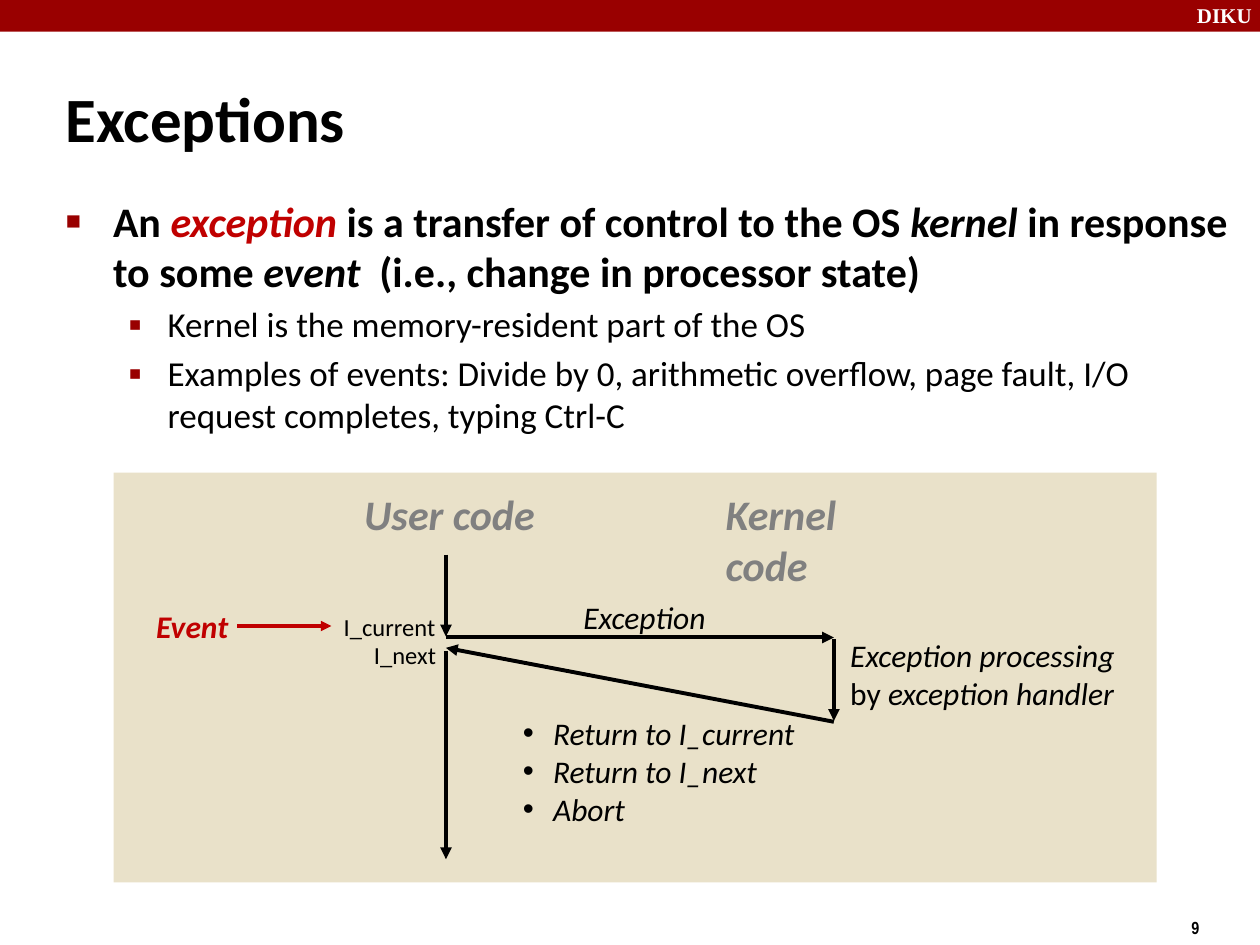
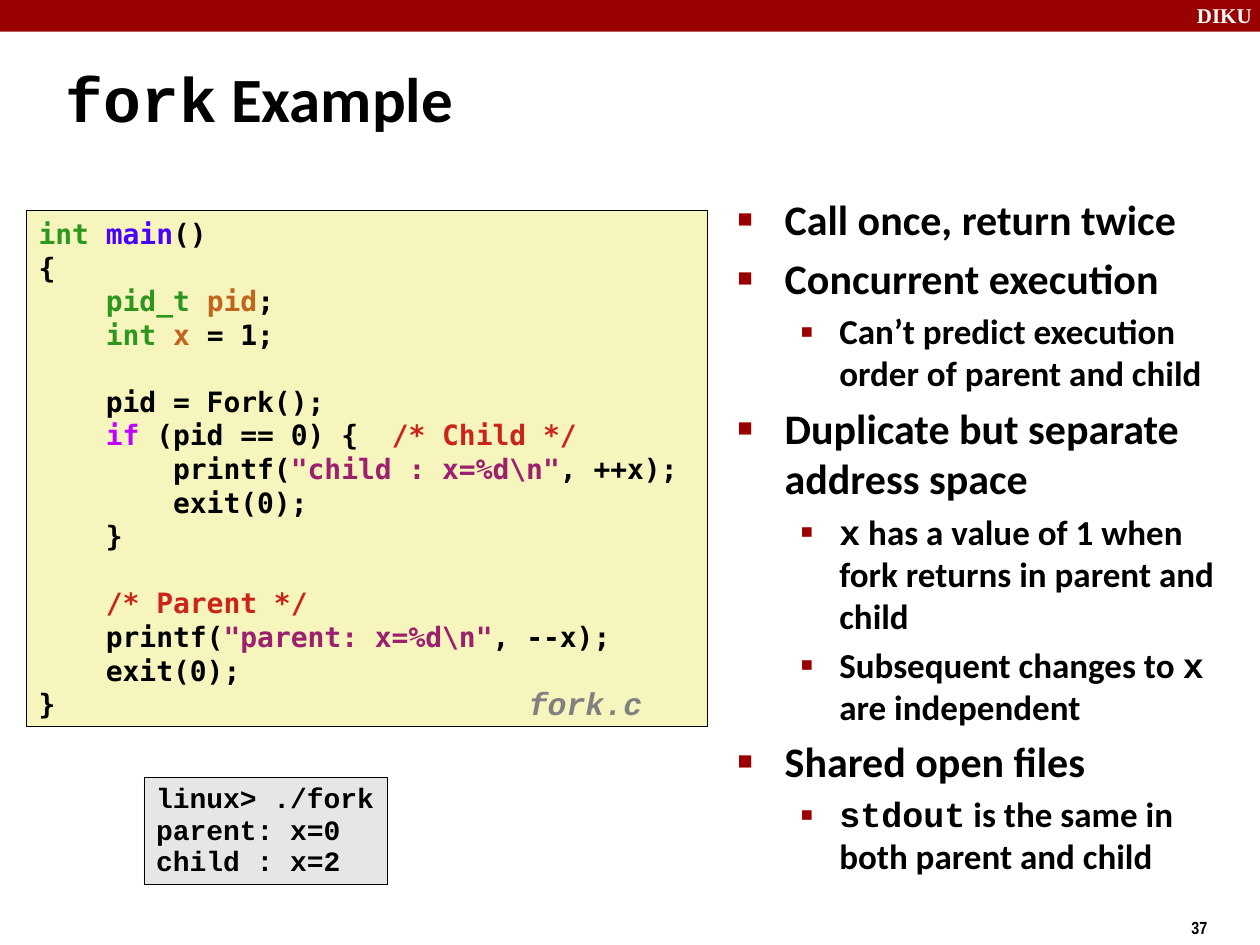
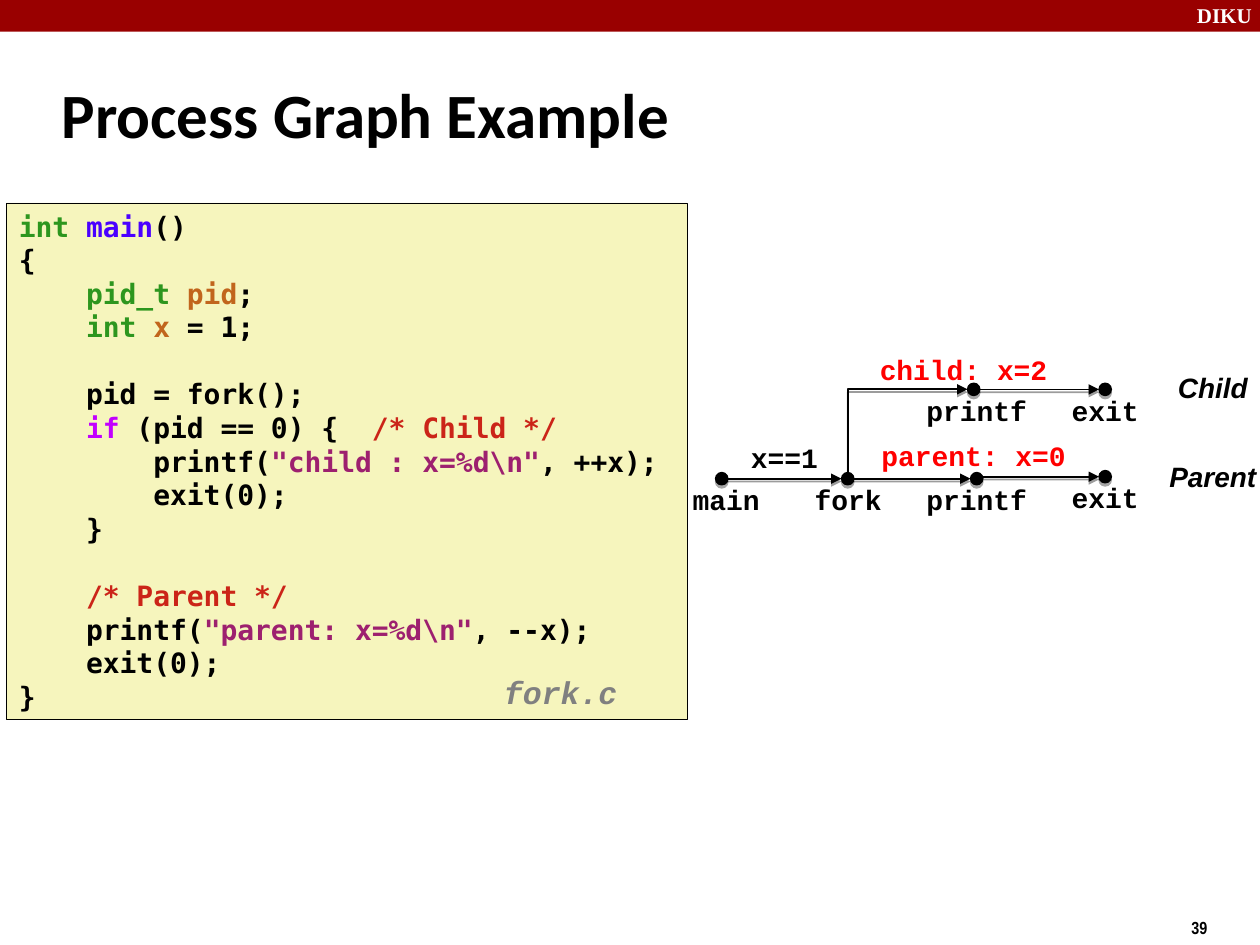
from dataclasses import dataclass, replace
from typing import NamedTuple, Optional

from lxml.etree import SubElement
from pptx import Presentation
from pptx.dml.color import RGBColor
from pptx.enum.shapes import MSO_CONNECTOR as Link, MSO_SHAPE as Preset
from pptx.enum.text import MSO_ANCHOR as Anchor, MSO_AUTO_SIZE as AutoSize, PP_ALIGN as Align
from pptx.oxml.ns import qn
from pptx.util import Cm, Pt

COLORS = {
    "black": "000000", "white": "FFFFFF", "gray": "808080",
    "band": "990000", "accent": "C00000", "output": "FF0000",
    "panel": "E9E1C9", "code": "F6F5BD", "terminal": "E6E6E6",
    "type": "2D961E", "function": "4A00FF", "variable": "C1651C",
    "keyword": "C200FF", "comment": "CB2418", "string": "9D206F",
}
SLIDE_WIDTH, SLIDE_HEIGHT = 25.4, 19.05
TITLE_ONLY = 5
NODE_SIZE = 0.25
CODE_LINE = 19.2


class Box(NamedTuple):
    left: float
    top: float
    width: float
    height: float


class Point(NamedTuple):
    x: float
    y: float


@dataclass(frozen=True)
class Style:
    size: float
    font: str = "Calibri"
    color: str = "black"
    bold: bool = False
    italic: bool = False


class Run(NamedTuple):
    text: str
    style: Style


@dataclass(frozen=True)
class Bullet:
    char: str
    color: str
    percent: int
    left: float
    hang: float


@dataclass(frozen=True)
class Para:
    runs: list[Run]
    bullet: Optional[Bullet] = None
    align: Align = Align.LEFT
    before: float = 0
    spacing: Optional[float] = None


@dataclass(frozen=True)
class Label:
    box: Box
    paras: list[Para]
    wrap: bool = False


@dataclass(frozen=True)
class Arrow:
    start: Point
    end: Point
    color: str = "black"
    width: float = 2.25


@dataclass(frozen=True)
class Node:
    text: str
    at: Point
    label_center: float


TITLE = Style(36, bold=True)
TITLE_CODE = replace(TITLE, font="Courier New")
MAIN = Style(24, bold=True)
SUB = Style(20)
SUB_BOLD = replace(SUB, bold=True)
SUB_CODE = replace(SUB_BOLD, font="Courier New")
HEADING = Style(24, color="gray", bold=True, italic=True)
NOTE = Style(18, italic=True)
INSTRUCTION = Style(14)
CODE = Style(16, "DejaVu Sans Mono", bold=True)
MONO = Style(16, "Courier New", bold=True)
FILE_NAME = Style(18, "Courier New", "gray", True, True)
PROCESS = Style(16, "Arial", bold=True, italic=True)

SQUARE = Bullet("■", "band", 60, 0.96, 0.95)
SMALL_SQUARE = Bullet("▪", "band", 110, 2.06, 0.79)
DOT = Bullet("•", "black", 100, 0.61, 0.61)


def color(name: str) -> RGBColor:
    return RGBColor.from_string(COLORS[name])


def lengths(box: Box) -> list[Cm]:
    return [Cm(value) for value in box]


def plain(text: str, style: Style, **options) -> Para:
    return Para([Run(text, style)], **options)


def main_point(*runs: Run) -> Para:
    return Para(list(runs), SQUARE, before=4.8)


def sub_point(*runs: Run) -> Para:
    return Para(list(runs), SMALL_SQUARE, before=4)


def add_bullet(paragraph, bullet: Bullet) -> None:
    props = paragraph._p.get_or_add_pPr()
    props.set("marL", str(Cm(bullet.left)))
    props.set("indent", str(-Cm(bullet.hang)))
    SubElement(SubElement(props, qn("a:buClr")), qn("a:srgbClr")).set("val", COLORS[bullet.color])
    SubElement(props, qn("a:buSzPct")).set("val", str(bullet.percent * 1000))
    SubElement(props, qn("a:buFont")).set("typeface", "Arial")
    SubElement(props, qn("a:buChar")).set("char", bullet.char)


def write(shape, paras: list[Para], wrap: bool = True, anchor: Anchor = Anchor.TOP) -> None:
    frame = shape.text_frame
    frame.word_wrap = wrap
    frame.auto_size = AutoSize.NONE
    frame.vertical_anchor = anchor
    for index, para in enumerate(paras):
        paragraph = frame.add_paragraph() if index else frame.paragraphs[0]
        if para.bullet:
            add_bullet(paragraph, para.bullet)
        paragraph.alignment = para.align
        if index and para.before:
            paragraph.space_before = Pt(para.before)
        if para.spacing:
            paragraph.line_spacing = para.spacing
        for text, style in para.runs:
            run = paragraph.add_run()
            run.text = text
            font = run.font
            font.size, font.name = Pt(style.size), style.font
            font.bold, font.italic = style.bold, style.italic
            font.color.rgb = color(style.color)


def add_label(slide, label: Label) -> None:
    write(slide.shapes.add_textbox(*lengths(label.box)), label.paras, label.wrap)


def add_block(slide, box: Box, fill: str, outline: float = 0, preset: Preset = Preset.RECTANGLE):
    block = slide.shapes.add_shape(preset, *lengths(box))
    block.fill.solid()
    block.fill.fore_color.rgb = color(fill)
    if outline:
        block.line.color.rgb = color("black")
        block.line.width = Pt(outline)
    else:
        block.line.fill.background()
    block.shadow.inherit = False
    return block


def drop_shadow(shape, distance: float, opacity: int) -> None:
    """Put a hard shadow straight below a shape whose effect list is empty."""
    effects = shape.element.spPr.find(qn("a:effectLst"))
    shadow = SubElement(effects, qn("a:outerShdw"), blurRad="0", dist=str(Pt(distance)),
                        dir="5400000", rotWithShape="0")
    tint = SubElement(shadow, qn("a:srgbClr"), val=COLORS["black"])
    SubElement(tint, qn("a:alpha"), val=str(opacity * 1000))


def add_arrow(slide, arrow: Arrow, kind: Link = Link.STRAIGHT):
    connector = slide.shapes.add_connector(kind, *lengths(arrow.start + arrow.end))
    connector.line.color.rgb = color(arrow.color)
    connector.line.width = Pt(arrow.width)
    props = connector.element.spPr
    SubElement(props.find(qn("a:ln")), qn("a:tailEnd")).set("type", "triangle")
    SubElement(props, qn("a:effectLst"))
    return connector


def add_graph_arrow(slide, start: Point, end: Point) -> None:
    drop_shadow(add_arrow(slide, Arrow(start, end, width=1)), 1.6, 38)


def add_branch(slide, start: Point, end: Point) -> None:
    """Draw an arrow that goes up from start, then right to end."""
    center = Point((start.x + end.x) / 2, (start.y + end.y) / 2)
    half_rise, half_run = (start.y - end.y) / 2, (end.x - start.x) / 2
    unrotated = Arrow(Point(center.x + half_rise, center.y + half_run),
                      Point(center.x - half_rise, center.y - half_run), width=1)
    branch = add_arrow(slide, unrotated, Link.ELBOW)
    props = branch.element.spPr
    props.find(qn("a:xfrm")).set("rot", "5400000")
    props.find(qn("a:prstGeom")).set("prst", "bentConnector2")
    drop_shadow(branch, 1.6, 38)


def add_node(slide, node: Node) -> None:
    x, y = node.at
    box = Box(x - NODE_SIZE / 2, y - NODE_SIZE / 2, NODE_SIZE, NODE_SIZE)
    drop_shadow(add_block(slide, box, "black", 0.75, Preset.OVAL), 1.8, 35)
    width = 2.64 if len(node.text) > 4 else 1.85
    add_label(slide, Label(Box(node.label_center - width / 2, y - 0.04, width, 0.94),
                           [plain(node.text, MONO, align=Align.CENTER)]))


def start_slide(presentation, number: int, title: list[Run], box: Box,
                anchor: Anchor = Anchor.MIDDLE):
    slide = presentation.slides.add_slide(presentation.slide_layouts[TITLE_ONLY])
    add_block(slide, Box(0, 0, SLIDE_WIDTH, 0.64), "band")
    add_label(slide, Label(Box(23.88, -0.08, 1.7, 0.76),
                           [plain("DIKU", Style(12, "Times New Roman", "white", True))]))
    add_label(slide, Label(Box(23.77, 18.36, 1.9, 0.69),
                           [plain(str(number), Style(10, "Arial Narrow", bold=True))], wrap=True))
    heading = slide.shapes.title
    heading.left, heading.top, heading.width, heading.height = lengths(box)
    write(heading, [Para(title)], anchor=anchor)
    return slide


def fork_source(call: str) -> list[Para]:
    """List the program, with the given spelling of the fork call."""
    tab = "    "
    lines = [
        [("int ", "type"), ("main", "function"), ("()", "black")],
        [("{", "black")],
        [(tab, "black"), ("pid_t ", "type"), ("pid", "variable"), (";", "black")],
        [(tab, "black"), ("int ", "type"), ("x", "variable"), (" = 1;", "black")],
        [],
        [(f"{tab}pid = {call}();", "black")],
        [(tab, "black"), ("if", "keyword"), (" (pid == 0) {  ", "black"),
         ("/* Child */", "comment")],
        [(tab * 2 + "printf(", "black"), ('"child : x=%d\\n"', "string"), (", ++x);", "black")],
        [(tab * 2 + "exit(0);", "black")],
        [(tab + "}", "black")],
        [],
        [(tab, "black"), ("/* Parent */", "comment")],
        [(tab + "printf(", "black"), ('"parent: x=%d\\n"', "string"), (", --x);", "black")],
        [(tab + "exit(0);", "black")],
        [("}", "black")],
    ]
    return [Para([Run(text, replace(CODE, color=name)) for text, name in line],
                 before=0 if previous else CODE_LINE)
            for previous, line in zip([lines[0]] + lines, lines) if line]


def add_source(slide, corner: Point, call: str, file_corner: Point) -> None:
    write(add_block(slide, Box(*corner, 13.72, 10.41), "code", 0.25), fork_source(call))
    add_label(slide, Label(Box(*file_corner, 2.79, 0.97),
                           [plain("fork.c", FILE_NAME, spacing=0.94)]))


def build_exceptions(presentation) -> None:
    slide = start_slide(presentation, 9, [Run("Exceptions", TITLE)],
                        Box(1.07, 1.47, 9.32, 1.6), Anchor.TOP)
    add_block(slide, Box(2.29, 9.53, 21.03, 8.26), "panel")
    emphasis = replace(MAIN, italic=True)
    definition = [
        main_point(Run("An ", MAIN), Run("exception", replace(emphasis, color="accent")),
                   Run(" is a transfer of control to the OS ", MAIN), Run("kernel", emphasis),
                   Run(" in response to some ", MAIN), Run("event", emphasis),
                   Run("  (i.e., change in processor state)", MAIN)),
        sub_point(Run("Kernel is the memory-resident part of the OS", SUB)),
        sub_point(Run("Examples of events: Divide by 0, arithmetic overflow, page fault, "
                      "I/O request completes, typing Ctrl-C", SUB)),
    ]
    outcomes = ["Return to I_current", "Return to I_next", "Abort"]
    handler = [plain("Exception processing", NOTE),
               Para([Run("by ", replace(NOTE, italic=False)), Run("exception handler", NOTE)])]
    event = replace(NOTE, color="accent", bold=True)
    for label in [
        Label(Box(1.07, 3.81, 24.13, 5.28), definition, wrap=True),
        Label(Box(7.09, 9.73, 3.94, 1.27), [plain("User code", HEADING)]),
        Label(Box(14.38, 9.73, 4.5, 1.27), [plain("Kernel code", HEADING)], wrap=True),
        Label(Box(11.51, 11.94, 2.97, 1.02), [plain("Exception", NOTE)]),
        Label(Box(16.89, 12.7, 5.97, 2.54), handler, wrap=True),
        Label(Box(10.29, 14.27, 6.2, 2.54),
              [plain(outcome, NOTE, bullet=DOT) for outcome in outcomes], wrap=True),
        Label(Box(2.9, 12.12, 2.24, 1.02), [plain("Event", event)], wrap=True),
        Label(Box(6.68, 12.22, 2.34, 0.84), [plain("I_current", INSTRUCTION)]),
        Label(Box(7.29, 12.78, 1.75, 0.84), [plain("I_next", INSTRUCTION)]),
    ]:
        add_label(slide, label)

    user_x, kernel_x = 8.99, 16.81
    for arrow in [
        Arrow(Point(user_x, 11.18), Point(user_x, 12.83)),
        Arrow(Point(user_x, 12.85), Point(kernel_x, 12.85)),
        Arrow(Point(kernel_x, 12.88), Point(kernel_x, 14.53)),
        Arrow(Point(kernel_x, 14.55), Point(user_x, 13.06)),
        Arrow(Point(user_x, 13.13), Point(user_x, 17.32)),
        Arrow(Point(4.78, 12.62), Point(6.68, 12.62), "accent", 2),
    ]:
        add_arrow(slide, arrow)


def build_fork_example(presentation) -> None:
    slide = start_slide(presentation, 37, [Run("fork", TITLE_CODE), Run(" Example", TITLE)],
                        Box(1.07, 1.17, 15.82, 1.6))
    add_source(slide, Point(0.53, 4.24), "Fork", Point(10.41, 13.72))
    session = ["linux> ./fork", "parent: x=0", "child : x=2"]
    write(add_block(slide, Box(2.9, 15.67, 4.9, 2.16), "terminal", 0.25),
          [plain(line, MONO, spacing=0.94) for line in session], wrap=False)
    properties = [
        main_point(Run("Call once, return twice", MAIN)),
        main_point(Run("Concurrent execution", MAIN)),
        sub_point(Run("Can’t predict execution order of parent and child", SUB_BOLD)),
        main_point(Run("Duplicate but separate address space", MAIN)),
        sub_point(Run("x", SUB_CODE),
                  Run(" has a value of 1 when fork returns in parent and child", SUB_BOLD)),
        sub_point(Run("Subsequent changes to ", SUB_BOLD), Run("x", SUB_CODE),
                  Run(" are independent", SUB_BOLD)),
        main_point(Run("Shared open files", MAIN)),
        sub_point(Run("stdout", SUB_CODE),
                  Run(" is the same in both parent and child", SUB_BOLD)),
    ]
    add_label(slide, Label(Box(14.61, 3.78, 10.59, 14.43), properties, wrap=True))


def build_process_graph(presentation) -> None:
    slide = start_slide(presentation, 39, [Run("Process Graph Example", TITLE)],
                        Box(0.99, 1.22, 21.08, 2.11))
    add_source(slide, Point(0.13, 4.09), "fork", Point(9.91, 13.51))

    child_y, parent_y = 7.85, 9.65
    fork = Node("fork", Point(17.09, parent_y), 17.1)
    parent = [Node("main", Point(14.55, parent_y), 14.64), fork,
              Node("printf", Point(19.69, parent_y), 19.69),
              Node("exit", Point(22.28, 9.61), 22.28)]
    child = [Node("printf", Point(19.63, child_y), 19.69),
             Node("exit", Point(22.28, child_y), 22.28)]
    radius = NODE_SIZE / 2
    add_branch(slide, fork.at, Point(child[0].at.x - radius, child_y))
    for process in (parent, child):
        for before, after in zip(process, process[1:]):
            add_graph_arrow(slide, Point(before.at.x + radius, after.at.y),
                            Point(after.at.x - radius, after.at.y))
        for node in process:
            add_node(slide, node)

    printed = replace(MONO, color="output")
    for text, style, box in [
        ("child: x=2", printed, Box(16.87, 6.99, 5.11, 0.94)),
        ("parent: x=0", printed, Box(17.07, 8.71, 5.11, 0.94)),
        ("x==1", MONO, Box(14.71, 8.76, 2.21, 0.94)),
        ("Parent", PROCESS, Box(23.32, 9.14, 2.26, 0.94)),
        ("Child", PROCESS, Box(23.5, 7.34, 1.9, 0.94)),
    ]:
        add_label(slide, Label(box, [plain(text, style, align=Align.CENTER)]))


def main() -> None:
    presentation = Presentation()
    presentation.slide_width, presentation.slide_height = Cm(SLIDE_WIDTH), Cm(SLIDE_HEIGHT)
    build_exceptions(presentation)
    build_fork_example(presentation)
    build_process_graph(presentation)
    presentation.save("out.pptx")


if __name__ == "__main__":
    main()
